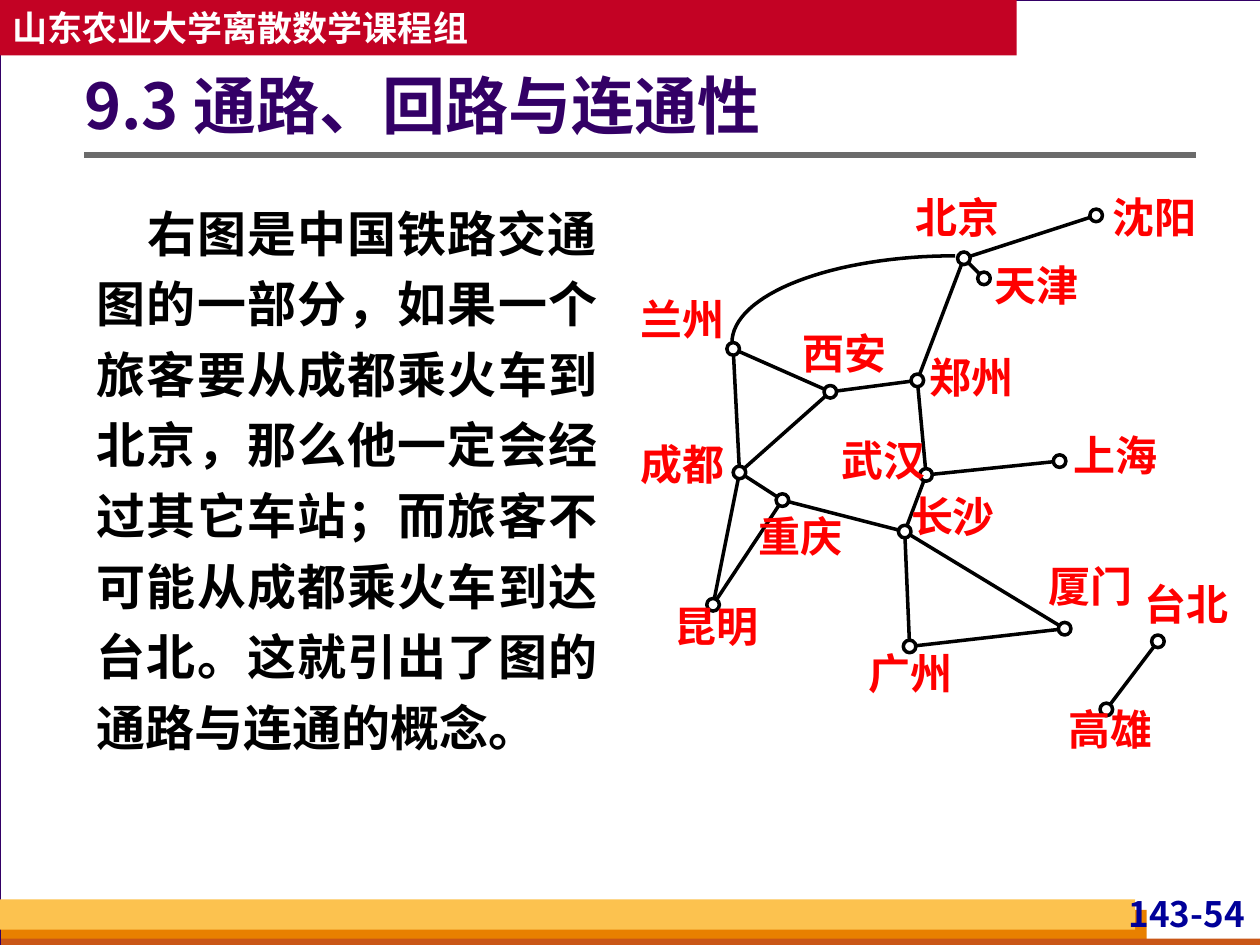
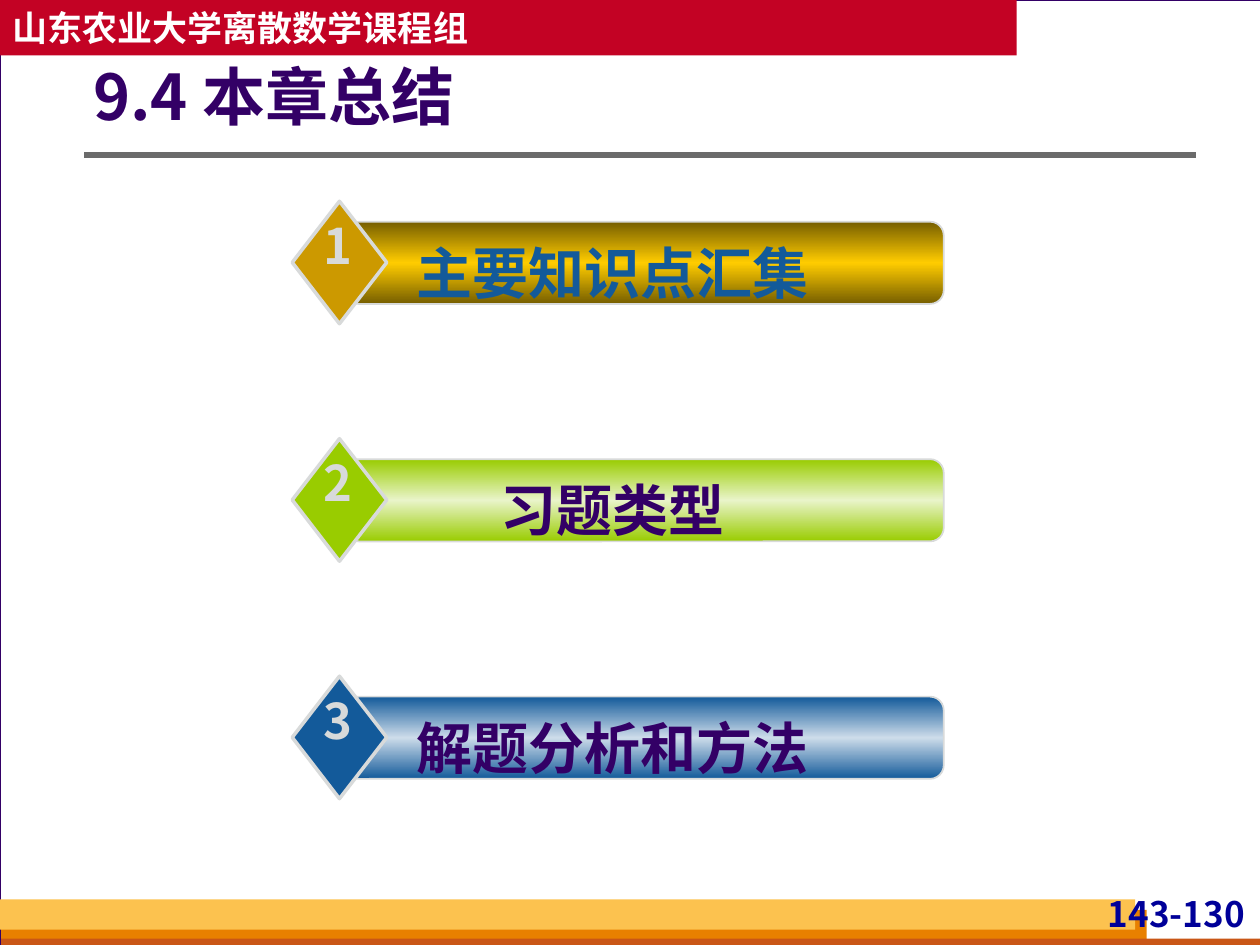
from copy import deepcopy
from math import cos, hypot, pi, sin

from lxml.etree import SubElement
from pptx import Presentation
from pptx.dml.color import RGBColor
from pptx.enum.shapes import MSO_CONNECTOR, MSO_SHAPE
from pptx.enum.text import MSO_ANCHOR, PP_ALIGN
from pptx.oxml.ns import qn
from pptx.util import Pt

FONT = "Noto Sans CJK SC"
WHITE, BLACK, RED = "FFFFFF", "000000", "FF0000"
PURPLE, NAVY, BLUE = "330066", "000099", "135A9A"
SILVER, GREY, CRIMSON = "D8DADA", "6B6B6B", "C30224"
BANDS = [  # footer bands, back to front
    ((0.7, 520, 654.5, 20), "E88000"),
    ((0.7, 536.4, 720, 5.8), "C95616"),
    ((0, 514, 648.7, 17.3), "FCC24F"),
]

# City: node centre, then top left of its label, within the map
CITIES = {
    "成都": ((56.6, 161), (0, 141.6)),
    "重庆": ((81.1, 176.8), (67.4, 182.6)),
    "郑州": ((158.2, 108.4), (165.4, 91.9)),
    "西安": ((108.5, 114.9), (92.6, 78.2)),
    "北京": ((184.8, 38.6), (157.4, 0.4)),
    "长沙": ((151, 194.8), (154.6, 171.1)),
    "上海": ((239.5, 154.5), (247.4, 136.5)),
    "天津": ((196.3, 50.1), (202.1, 39.3)),
    "沈阳": ((260.4, 14.1), (269.8, 0.4)),
    "兰州": ((53, 90.4), (0, 58.8)),
    "广州": ((153.8, 260.4), (130.1, 261.1)),
    "昆明": ((41.5, 236.6), (19.2, 234.4)),
    "武汉": ((163.2, 162.4), (115, 139.4)),
    "厦门": ((242.4, 250.3), (233, 211.4)),
    "高雄": ((266.2, 296.4), (244.6, 292.8)),
    "台北": ((295.7, 257.5), (287.8, 221.5)),
}
RAILWAYS = [
    ("兰州", "西安"), ("成都", "重庆"), ("成都", "昆明"), ("重庆", "昆明"),
    ("西安", "成都"), ("兰州", "成都"), ("重庆", "长沙"), ("长沙", "广州"),
    ("西安", "郑州"), ("郑州", "武汉"), ("武汉", "长沙"), ("武汉", "上海"),
    ("北京", "郑州"), ("北京", "沈阳"), ("北京", "天津"), ("长沙", "厦门"),
    ("厦门", "广州"), ("台北", "高雄"),
]
NODE_RADIUS = 3.6

INTRO = ("右图是中国铁路交通图的一部分，如果一个旅客要从成都乘火车到北京，"
         "那么他一定会经过其它车站；而旅客不可能从成都乘火车到达台北。"
         "这就引出了图的通路与连通的概念。")

# Topic, its colour, badge colour, bar edge colour, bar middle colour
TOPICS = [
    ("主要知识点汇集", BLUE, "CC9900", "765E00", "FFCC00"),
    ("习题类型", PURPLE, "99CC00", "99CC00", "E9F4C9"),
    ("解题分析和方法", PURPLE, BLUE, BLUE, "CDDCEA"),
]
TOPIC_PITCH = 135.7


def rgb(color):
    return RGBColor.from_string(color)


def points(*lengths):
    return [Pt(length) for length in lengths]


def add_block(slide, box, fill=None, line=None, width=1, kind=MSO_SHAPE.RECTANGLE):
    block = slide.shapes.add_shape(kind, *points(*box))
    style_block(block, fill, line, width)
    return block


def style_block(block, fill=None, line=None, width=1):
    block.shadow.inherit = False
    if fill:
        block.fill.solid()
        block.fill.fore_color.rgb = rgb(fill)
    else:
        block.fill.background()
    if line:
        block.line.color.rgb = rgb(line)
        block.line.width = Pt(width)
    else:
        block.line.fill.background()


def add_line(slide, start, end, color, width):
    line = slide.shapes.add_connector(MSO_CONNECTOR.STRAIGHT, *points(*start, *end))
    line.line.color.rgb = rgb(color)
    line.line.width = Pt(width)
    SubElement(line._element.spPr, qn("a:effectLst"))


def add_text(slide, box, text, size=20, color=BLACK, align=PP_ALIGN.LEFT,
             anchor=MSO_ANCHOR.TOP, insets=(7.2, 3.6, 7.2, 3.6), spacing=None,
             indent=0, wrap=True):
    text_frame = slide.shapes.add_textbox(*points(*box)).text_frame
    text_frame.word_wrap = wrap
    text_frame.vertical_anchor = anchor
    (text_frame.margin_left, text_frame.margin_top,
     text_frame.margin_right, text_frame.margin_bottom) = points(*insets)
    paragraph = text_frame.paragraphs[0]
    paragraph.alignment = align
    if spacing:
        paragraph.line_spacing = spacing
    if indent:
        paragraph._p.get_or_add_pPr().set("indent", str(Pt(indent)))
    run = paragraph.add_run()
    run.text = text
    run.font.name = FONT
    run.font.size = Pt(size)
    run.font.bold = True
    run.font.color.rgb = rgb(color)
    SubElement(run._r.get_or_add_rPr(), qn("a:ea"), typeface=FONT)


def add_framed_slide(prs, title, title_box, page):
    """Slide with the course bands, title and page number."""
    slide = prs.slides.add_slide(prs.slide_layouts[6])
    slide.background.fill.solid()
    slide.background.fill.fore_color.rgb = rgb(SILVER)
    add_block(slide, (0, 0, 720.7, 540), WHITE, PURPLE, 0.75)
    for box, color in BANDS:
        add_block(slide, box, color)
    add_text(slide, (626.4, 509.8, 87.8, 27.4), page, color=NAVY,
             align=PP_ALIGN.RIGHT, insets=(2.9, 0, 2.9, 0))
    add_line(slide, (48.2, 88.6), (683.3, 88.6), GREY, 3)
    # Course header
    header = (0, 0, 581, 31.7)
    add_block(slide, header, CRIMSON)
    add_text(slide, header, "山东农业大学离散数学课程组", color=WHITE,
             anchor=MSO_ANCHOR.MIDDLE)
    add_text(slide, title_box, title, size=36, color=PURPLE, spacing=0.9,
             anchor=MSO_ANCHOR.MIDDLE, insets=(0, 3.6, 7.2, 3.6))
    return slide


def add_railway_map(slide, left, top):
    def place(x, y):
        return left + x, top + y

    # Straight railways run from rim to rim
    for origin, target in RAILWAYS:
        (x1, y1), (x2, y2) = CITIES[origin][0], CITIES[target][0]
        share = NODE_RADIUS / hypot(x2 - x1, y2 - y1)
        dx, dy = (x2 - x1) * share, (y2 - y1) * share
        add_line(slide, place(x1 + dx, y1 + dy), place(x2 - dx, y2 - dy), BLACK, 2)

    # Curved railway 北京–兰州: a quarter of an ellipse
    steps = 32
    curve = []
    for step in range(steps + 1):
        angle = pi / 2 * step / steps
        curve.append(points(*place(179.8 - 127.5 * sin(angle),
                                   86.8 - 49.6 * cos(angle))))
    outline = slide.shapes.build_freeform(*curve[0])
    outline.add_line_segments(curve[1:], close=False)
    style_block(outline.convert_to_shape(), line=BLACK, width=2)

    # Cities
    for city, ((x, y), label) in CITIES.items():
        add_block(slide, (*place(x - NODE_RADIUS, y - NODE_RADIUS),
                          2 * NODE_RADIUS, 2 * NODE_RADIUS),
                  WHITE, BLACK, 2, MSO_SHAPE.OVAL)
        add_text(slide, (*place(*label), 50, 35), city, size=24, color=RED,
                 insets=(0, 0, 0, 0))


def add_topic(slide, left, top, number, topic, text_color, badge_color, edge, middle):
    # Bar with a three-stop gradient
    bar = add_block(slide, (left + 30.3, top + 11.7, 342, 47), edge, SILVER, 1,
                    MSO_SHAPE.ROUNDED_RECTANGLE)
    bar.fill.gradient()
    bar.fill.gradient_angle = 90
    stop_list = bar._element.spPr.find(".//" + qn("a:gsLst"))
    stop_list.append(deepcopy(stop_list[0]))
    for stop, position, color in zip(bar.fill.gradient_stops, (0, 0.5, 1),
                                     (edge, middle, edge)):
        stop.position = position
        stop.color.rgb = rgb(color)
    # Badge and wording
    add_block(slide, (left, top, 54, 70), badge_color, SILVER, 2, MSO_SHAPE.DIAMOND)
    add_text(slide, (left + 48.3, top + 17.5, 270, 46), topic, size=32,
             color=text_color, align=PP_ALIGN.CENTER)
    add_text(slide, (left + 11, top + 4.5, 30, 41), str(number), size=28,
             color=SILVER, align=PP_ALIGN.CENTER, wrap=False)


def main():
    prs = Presentation()
    prs.slide_width, prs.slide_height = points(720, 540)

    connectivity = add_framed_slide(prs, "9.3 通路、回路与连通性",
                                    (48.2, 26, 635, 72.7), "143-54")
    add_text(connectivity, (48.2, 105.8, 300.2, 330.5), INTRO, size=28,
             align=PP_ALIGN.JUSTIFY, spacing=1.2, indent=29)
    add_railway_map(connectivity, 366, 109)

    summary = add_framed_slide(prs, "9.4 本章总结", (53.3, 29.5, 625, 55.4), "143-130")
    for index, topic in enumerate(TOPICS):
        add_topic(summary, 167, 115 + index * TOPIC_PITCH, index + 1, *topic)

    prs.save("out.pptx")


if __name__ == "__main__":
    main()
